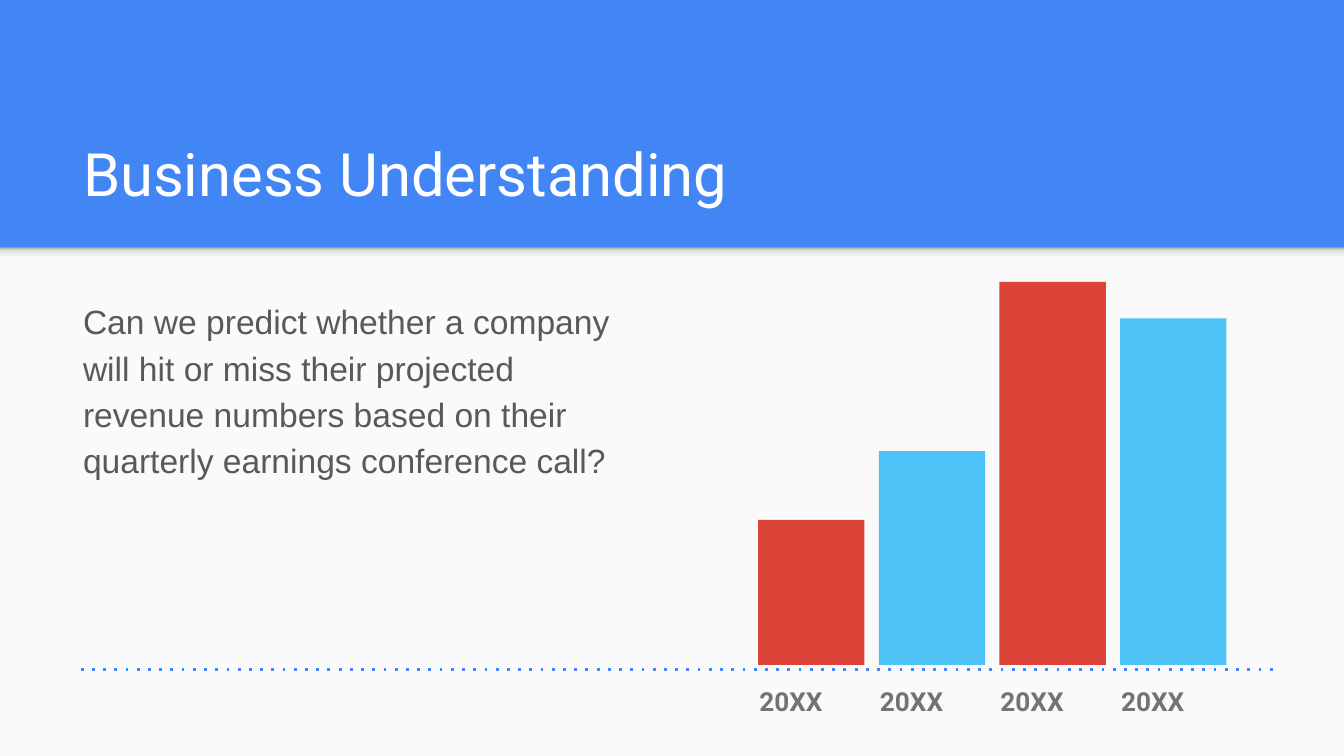
from copy import deepcopy

from lxml import etree
from pptx import Presentation
from pptx.dml.color import RGBColor
from pptx.enum.dml import MSO_LINE
from pptx.enum.shapes import MSO_CONNECTOR, MSO_SHAPE as SHAPE
from pptx.enum.text import MSO_ANCHOR as ANCHOR
from pptx.oxml.ns import qn
from pptx.util import Cm, Pt

BLUE = RGBColor(0x42, 0x85, 0xF4)
RED = RGBColor(0xDB, 0x44, 0x37)
SKY = RGBColor(0x4F, 0xC3, 0xF7)
WHITE = RGBColor(0xFF, 0xFF, 0xFF)
PAPER = RGBColor(0xFA, 0xFA, 0xFA)
PALE = RGBColor(0xF9, 0xF9, 0xF9)
MIST = RGBColor(0xDE, 0xDE, 0xDE)
SHADE = RGBColor(0x99, 0x99, 0x99)
BODY_GREY = RGBColor(0x59, 0x59, 0x59)
LABEL_GREY = RGBColor(0x73, 0x73, 0x73)
INSET = Cm(0.25)
NO_TABLE_STYLE = "{2D5ABB26-0587-4C30-8999-92F81FD0307C}"


def write(frame, text, *, size, color, font="Roboto", bold=False,
          spacing=1.0, after=0):
    frame.word_wrap = True
    frame.margin_left = frame.margin_right = INSET
    frame.margin_top = frame.margin_bottom = INSET
    paragraph = frame.paragraphs[0]
    paragraph.line_spacing = spacing
    paragraph.space_after = Pt(after)
    run = paragraph.add_run()
    run.text = text
    run.font.size = Pt(size)
    run.font.name = font
    run.font.bold = bold
    run.font.color.rgb = color


def add_block(left, top, width, height, color=None):
    block = slide.shapes.add_shape(
        SHAPE.RECTANGLE, Cm(left), Cm(top), Cm(width), Cm(height))
    block.shadow.inherit = False
    block.line.fill.background()
    if color is not None:
        block.fill.solid()
        block.fill.fore_color.rgb = color
    return block


prs = Presentation()
prs.slide_width, prs.slide_height = Cm(25.4), Cm(14.29)
slide = prs.slides.add_slide(prs.slide_layouts[6])

# Blue header as background, light panel below it
slide.background.fill.solid()
slide.background.fill.fore_color.rgb = BLUE
add_block(0, 4.67, 25.4, 9.62, PAPER)

# Soft shade under the header, darkest at the top
shade = add_block(0, 4.67, 25.4, 0.3)
shade.fill.gradient()
shade.fill.gradient_angle = 90
stop_list = shade._element.spPr.find(qn("a:gradFill")).find(qn("a:gsLst"))
for stop in list(stop_list):
    stop_list.append(deepcopy(stop))
shade_stops = [(0, PALE), (0.36, PALE), (0.8, MIST), (1, SHADE)]
for stop, (position, color) in zip(shade.fill.gradient_stops, shade_stops):
    stop.position = position
    stop.color.rgb = color

# Title and question
title = slide.shapes.add_textbox(Cm(1.32), Cm(2.06), Cm(22.57), Cm(2.13))
title.text_frame.vertical_anchor = ANCHOR.BOTTOM
write(title.text_frame, "Business Understanding", size=32, color=WHITE)

question = slide.shapes.add_textbox(Cm(1.32), Cm(5.33), Cm(11.1), Cm(7.52))
write(question.text_frame,
      "Can we predict whether a company will hit or miss their projected "
      "revenue numbers based on their quarterly earnings conference call?",
      size=18, color=BODY_GREY, font="Arial", spacing=1.15, after=16)

# Year labels, one column per bar
pitch = 2.28
years = ["20XX"] * 4
labels = slide.shapes.add_table(
    1, len(years), Cm(14.1), Cm(12.65), Cm(pitch * len(years)), Cm(0.66)).table
labels.first_row = labels.horz_banding = False
labels._tbl.tblPr.find(qn("a:tableStyleId")).text = NO_TABLE_STYLE
for cell, year in zip(labels.rows[0].cells, years):
    cell.fill.background()
    cell.margin_left = cell.margin_right = INSET
    cell.margin_top = cell.margin_bottom = INSET
    write(cell.text_frame, year, size=14, color=LABEL_GREY, bold=True,
          spacing=1.15)

# Bars standing on a common base
base = 12.57
bars = [(2.74, RED), (4.04, SKY), (7.24, RED), (6.55, SKY)]
for i, (height, color) in enumerate(bars):
    add_block(14.33 + i * pitch, base - height, 2.01, height, color)

# Dotted baseline
baseline = slide.shapes.add_connector(
    MSO_CONNECTOR.STRAIGHT, Cm(24.05), Cm(12.65), Cm(1.42), Cm(12.65))
baseline.line.color.rgb = BLUE
baseline.line.width = Pt(1.5)
baseline.line.dash_style = MSO_LINE.ROUND_DOT
# ROUND_DOT is written as sysDot; the baseline uses the wider plain dot
baseline.line._ln.find(qn("a:prstDash")).set("val", "dot")
etree.SubElement(baseline._element.spPr, qn("a:effectLst"))

prs.save("out.pptx")
